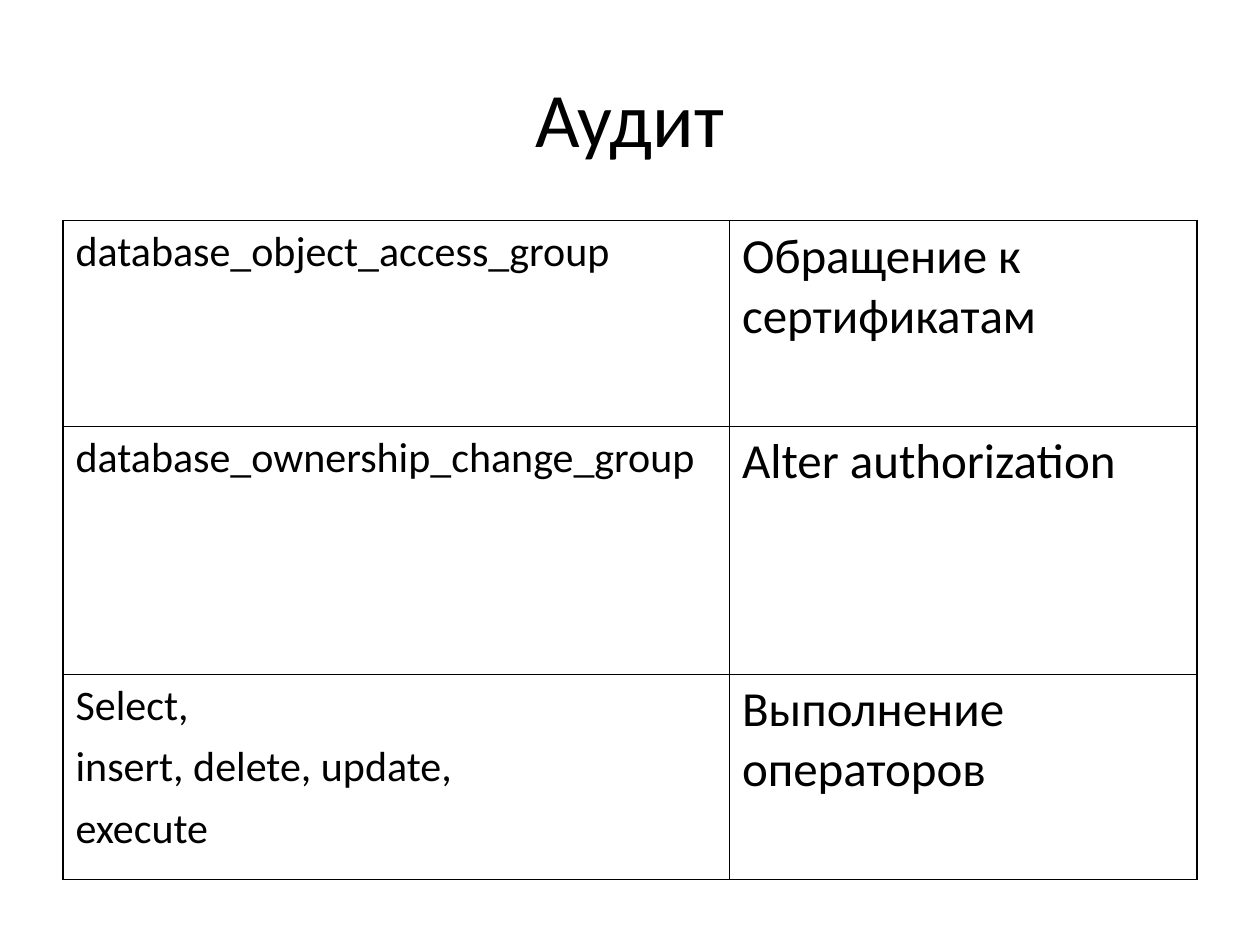
from lxml.etree import SubElement
from pptx import Presentation
from pptx.dml.color import RGBColor
from pptx.enum.text import MSO_ANCHOR, PP_ALIGN
from pptx.oxml.ns import qn
from pptx.util import Inches, Pt

BLACK = RGBColor(0, 0, 0)
FONT = "Calibri"
OUTER, INNER = Pt(1.08), Pt(0.45)

AUDIT_ACTIONS = [
    ("database_object_access_group", "Обращение к сертификатам"),
    ("database_ownership_change_group", "Alter authorization"),
    ("Select,\ninsert, delete, update,\nexecute", "Выполнение операторов"),
]
COLUMNS = [Inches(5.29), Inches(3.71)]
ROWS = [Inches(1.63), Inches(1.97), Inches(1.63)]
TEXT_STYLES = [(Pt(24), Pt(6)), (Pt(28), Pt(7))]  # size and space before, by column


def style_font(para, size):
    para.font.name = FONT
    para.font.size = size
    para.font.color.rgb = BLACK


def add_border(cell, side, width):
    """Draw one side of a cell: L, R, T or B."""
    line = SubElement(cell._tc.get_or_add_tcPr(), qn(f"a:ln{side}"), w=str(int(width)))
    fill = SubElement(line, qn("a:solidFill"))
    SubElement(fill, qn("a:srgbClr"), val=str(BLACK))


deck = Presentation()
deck.slide_width, deck.slide_height = Inches(10), Inches(7.5)
page = deck.slides.add_slide(deck.slide_layouts[6])
margin = int(deck.slide_width * 0.05)
content_width = deck.slide_width - 2 * margin

title_box = page.shapes.add_textbox(
    margin, int(deck.slide_height * 0.04), content_width, Inches(1.25))
title_box.text_frame.word_wrap = True
title_box.text_frame.vertical_anchor = MSO_ANCHOR.MIDDLE
title = title_box.text_frame.paragraphs[0]
title.text = "Аудит"
title.alignment = PP_ALIGN.CENTER
style_font(title, Pt(44))

table = page.shapes.add_table(
    len(ROWS), len(COLUMNS), margin, Inches(1.75), content_width, sum(ROWS)).table
table.first_row = table.horz_banding = False
for column, width in zip(table.columns, COLUMNS):
    column.width = width
for row, height in zip(table.rows, ROWS):
    row.height = height

last_row, last_column = len(ROWS) - 1, len(COLUMNS) - 1
for row, texts in enumerate(AUDIT_ACTIONS):
    for column, text in enumerate(texts):
        cell = table.cell(row, column)
        cell.text = text
        size, space_before = TEXT_STYLES[column]
        for para in cell.text_frame.paragraphs:
            para.space_before = space_before
            style_font(para, size)
        on_edge = {"L": column == 0, "R": column == last_column,
                   "T": row == 0, "B": row == last_row}
        for side, is_outer in on_edge.items():
            add_border(cell, side, OUTER if is_outer else INNER)
        cell.fill.background()

deck.save("out.pptx")
